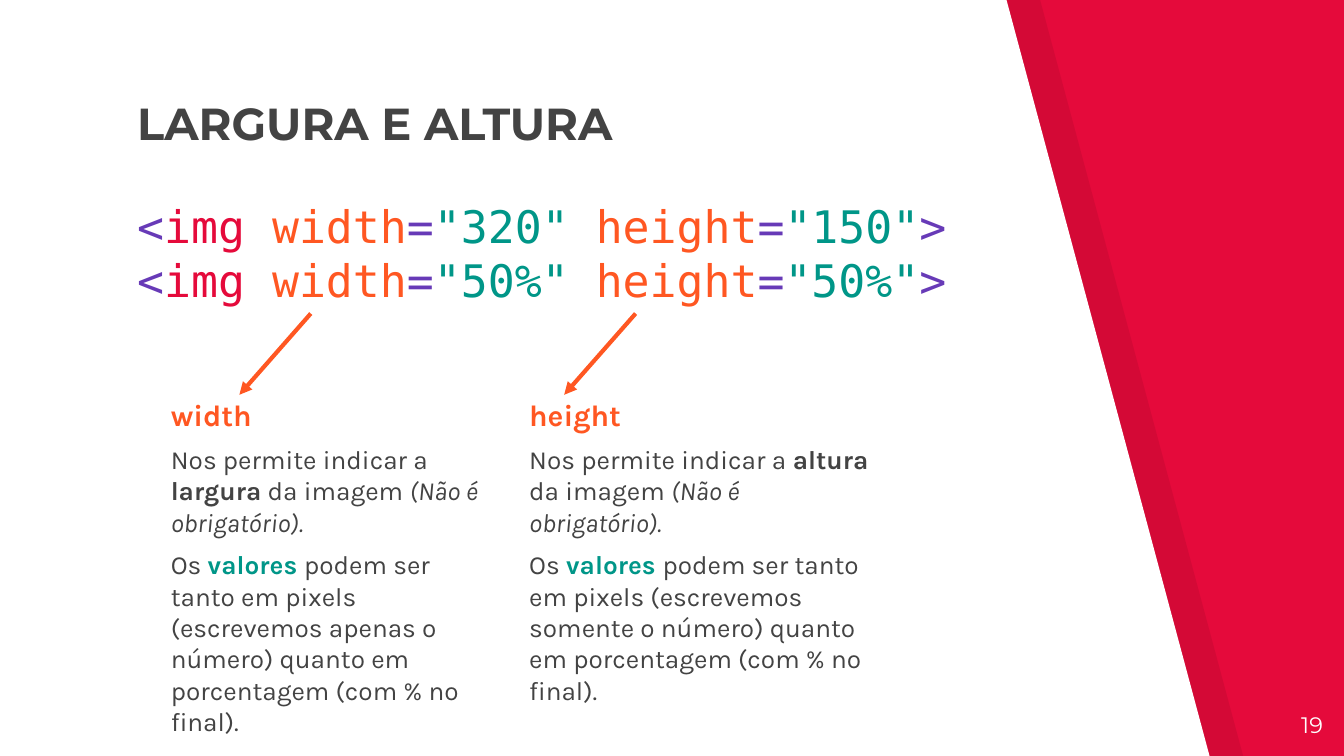
from dataclasses import dataclass

from lxml.etree import SubElement
from pptx import Presentation
from pptx.dml.color import RGBColor
from pptx.enum.shapes import MSO_CONNECTOR
from pptx.enum.text import MSO_ANCHOR, MSO_AUTO_SIZE, PP_ALIGN
from pptx.oxml.ns import qn
from pptx.util import Pt

PX = 9525  # EMU in one px, at 96 px to the inch
WIDTH, HEIGHT = 960, 540
INSET = 10


@dataclass(frozen=True)
class Theme:
    red: str = "E50A3B"
    white: str = "FFFFFF"
    black: str = "000000"
    dark: str = "434343"
    orange: str = "FF5722"
    teal: str = "009688"
    purple: str = "673AB7"
    heading_font: str = "Montserrat"
    body_font: str = "Karla"
    code_font: str = "DejaVu Sans Mono"
    large: int = 24
    term: int = 16
    body: int = 14
    small: int = 12


THEME = Theme()


def px(length):
    return length * PX


def rgb(colour):
    return RGBColor.from_string(colour)


def write(box, paragraphs, *, font, size, color=THEME.dark, bold=False,
          align=PP_ALIGN.LEFT, anchor=MSO_ANCHOR.TOP, before=0):
    """Fill a box with paragraphs, each a list of (text, format changes) spans."""
    frame = box.text_frame
    frame.word_wrap = True
    frame.auto_size = MSO_AUTO_SIZE.NONE
    frame.vertical_anchor = anchor
    frame.margin_left = frame.margin_right = px(INSET)
    frame.margin_top = frame.margin_bottom = px(INSET)
    for number, spans in enumerate(paragraphs):
        para = frame.add_paragraph() if number else frame.paragraphs[0]
        para.alignment = align
        para.space_before = Pt(before)
        if box.is_placeholder:
            remove_bullet(para)
        for text, changes in spans:
            look = {"size": size, "color": color, "bold": bold, "italic": False} | changes
            span = para.add_run()
            span.text = text
            span.font.name = font
            span.font.size = Pt(look["size"])
            span.font.bold = look["bold"]
            span.font.italic = look["italic"]
            span.font.color.rgb = rgb(look["color"])


def remove_bullet(para):
    properties = para._p.get_or_add_pPr()
    properties.set("marL", "0")
    properties.set("indent", "0")
    SubElement(properties, qn("a:buNone"))


def place(placeholder, left, top, width, height):
    """Move a placeholder and bring it in front of what is drawn so far."""
    placeholder.left, placeholder.top = px(left), px(top)
    placeholder.width, placeholder.height = px(width), px(height)
    placeholder.element.getparent().append(placeholder.element)
    return placeholder


def add_box(slide, left, top, width, height):
    return slide.shapes.add_textbox(px(left), px(top), px(width), px(height))


def add_panel(slide, left, color, opacity=100):
    """Draw a full-height panel with a slanted right edge."""
    builder = slide.shapes.build_freeform(left, 0, scale=PX)
    builder.add_line_segments(
        [(left, HEIGHT), (left + 864, HEIGHT), (left + 719, 0)], close=True)
    panel = builder.convert_to_shape()
    panel.shadow.inherit = False
    panel.line.fill.background()
    panel.fill.solid()
    panel.fill.fore_color.rgb = rgb(color)
    if opacity < 100:
        fill_color = panel.element.spPr.find(".//" + qn("a:srgbClr"))
        SubElement(fill_color, qn("a:alpha"), val=str(opacity * 1000))


def add_arrow(slide, start_x, start_y, end_x, end_y):
    arrow = slide.shapes.add_connector(
        MSO_CONNECTOR.STRAIGHT, px(start_x), px(start_y), px(end_x), px(end_y))
    arrow.line.color.rgb = rgb(THEME.orange)
    arrow.line.width = Pt(2.25)
    SubElement(arrow.line._get_or_add_ln(), qn("a:tailEnd"), type="triangle")
    SubElement(arrow.element.spPr, qn("a:effectLst"))


def image_tag(width, height):
    """Give the coloured spans of one line of HTML."""
    def attribute(name, value):
        return [(name, {"color": THEME.orange}), ("=", {"color": THEME.purple}),
                (value, {"color": THEME.teal})]

    return [("<", {"color": THEME.purple}), ("img ", {"color": THEME.red}),
            *attribute("width", f'"{width}" '), *attribute("height", f'"{height}"'),
            (">", {"color": THEME.purple})]


def explanation(term, meaning, adverb):
    return [
        [(term, {"size": THEME.term, "color": THEME.orange, "bold": True})],
        [("Nos permite indicar a ", {}), (meaning, {"bold": True}),
         (" da imagem ", {}), ("(Não é obrigatório).", {"italic": True})],
        [("Os ", {}), ("valores ", {"color": THEME.teal, "bold": True}),
         (f"podem ser tanto em pixels (escrevemos {adverb} o número) "
          "quanto em porcentagem (com % no final).", {})],
    ]


def main():
    deck = Presentation()
    deck.slide_width, deck.slide_height = px(WIDTH), px(HEIGHT)
    slide = deck.slides.add_slide(deck.slide_layouts.get_by_name("Two Content"))
    title, left_body, right_body = slide.placeholders
    slide.background.fill.solid()
    slide.background.fill.fore_color.rgb = rgb(THEME.red)

    add_panel(slide, 24, THEME.black, opacity=7)
    add_panel(slide, 0, THEME.white)

    write(place(title, 88, 74, 544, 43), [[("LARGURA E ALTURA", {})]],
          font=THEME.heading_font, size=THEME.large, bold=True, anchor=MSO_ANCHOR.BOTTOM)
    write(add_box(slide, 88, 132, 687, 105),
          [image_tag("320", "150"), image_tag("50%", "50%")],
          font=THEME.code_font, size=THEME.large)

    columns = [
        (left_body, 112, 248, 222, explanation("width", "largura", "apenas")),
        (right_body, 368, 265, 454, explanation("height", "altura", "somente")),
    ]
    for body, left, width, arrow_x, paragraphs in columns:
        write(place(body, left, 273, width, 250), paragraphs,
              font=THEME.body_font, size=THEME.body, before=6)
        add_arrow(slide, arrow_x, 224, arrow_x - 51, 282)

    write(add_box(slide, 897, 498, 58, 41), [[("19", {})]],
          font=THEME.heading_font, size=THEME.small, color=THEME.white,
          align=PP_ALIGN.RIGHT)
    deck.save("out.pptx")


if __name__ == "__main__":
    main()
